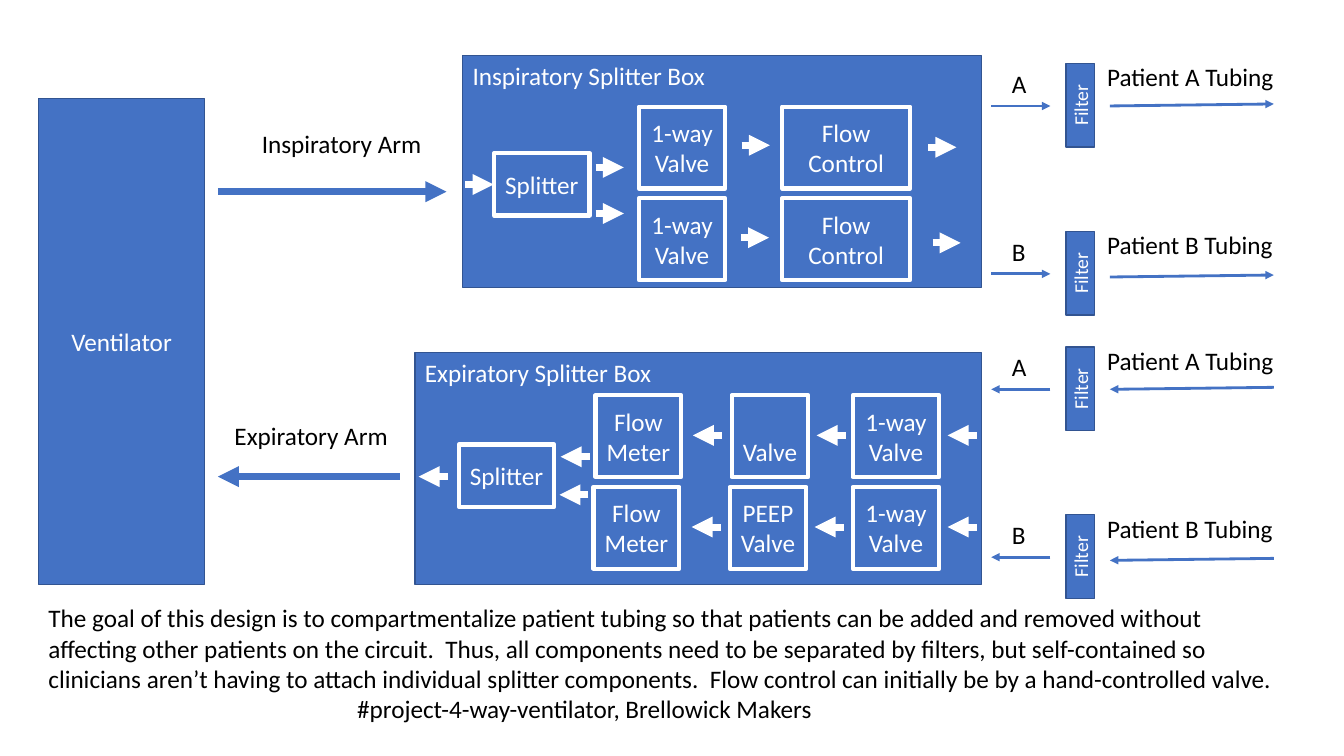
"""Draw a ventilator splitter diagram with inspiratory and expiratory circuits."""
from lxml import etree
from pptx import Presentation
from pptx.dml.color import RGBColor
from pptx.enum import shapes, text
from pptx.oxml.ns import qn
from pptx.util import Cm, Pt

BLUE = RGBColor(0x44, 0x72, 0xC4)
EDGE = RGBColor(0x32, 0x54, 0x91)
WHITE = RGBColor(0xFF, 0xFF, 0xFF)
BLACK = RGBColor(0, 0, 0)
FONT = "Calibri"

GOAL = (
    "The goal of this design is to compartmentalize patient tubing so that patients "
    "can be added and removed without affecting other patients on the circuit.  Thus, "
    "all components need to be separated by filters, but self-contained so clinicians "
    "aren’t having to attach individual splitter components.  Flow control can "
    "initially be by a hand-controlled valve."
)
CREDIT = "#project-4-way-ventilator, Brellowick Makers"
CREDIT_INDENT = 7.78

ARMS = [
    ("Inspiratory Arm", (6.35, 3.1, 4.57), (5.49, 11.25, 4.83)),
    ("Expiratory Arm", (5.66, 10.46, 4.42), (10.08, 5.49, 12.01)),
]
HOUSINGS = [
    ("Inspiratory Splitter Box", (11.66, 1.4, 13.08, 5.84)),
    ("Expiratory Splitter Box", (10.46, 8.89, 14.27, 5.84)),
]
ONE_WAY = "1-way\nValve"
# Each stage: label per row, left per row, width
CIRCUITS = [
    {
        "top": 2.69, "filter_top": 1.6, "step": 0.71, "splitter": (12.45, 3.86),
        "stages": [
            ((ONE_WAY, ONE_WAY), (16.1, 16.1), 2.18),
            (("Flow Control", "Flow Control"), (19.71, 19.71), 3.23),
        ],
        "flows": [
            (11.73, 4.65), (15.01, 4.22), (15.01, 5.38), (18.69, 3.66),
            (18.67, 5.99), (23.39, 3.71), (23.5, 6.12),
        ],
    },
    {
        "top": 9.96, "filter_top": 8.74, "step": -0.73, "splitter": (11.56, 11.2),
        "stages": [
            ((ONE_WAY, ONE_WAY), (21.49, 21.49), 2.18),
            ((" Valve", "PEEP Valve"), (18.44, 18.39), 1.93),
            (("Flow Meter", "Flow Meter"), (15.01, 14.96), 2.16),
        ],
        "flows": [
            (24.61, 10.97), (24.61, 13.28), (21.31, 10.97), (21.26, 13.28),
            (18.19, 10.97), (18.16, 13.28), (14.86, 11.51), (14.83, 12.47),
            (11.28, 12.01),
        ],
    },
]
STAGE_PITCH, STAGE_HEIGHT = 2.31, 2.06
PATIENT_PITCH = 4.23
LABEL_HEIGHT = 1.02

prs = Presentation()
prs.slide_width, prs.slide_height = Cm(33.87), Cm(19.05)
s = prs.slides.add_slide(prs.slide_layouts[6])


def write(tf, content, color, size=18, align=text.PP_ALIGN.LEFT):
    """Write one paragraph for each line of content."""
    for i, line in enumerate(content.split("\n")):
        p = tf.paragraphs[0] if i == 0 else tf.add_paragraph()
        p.alignment = align
        r = p.add_run()
        r.text = line
        r.font.name, r.font.size, r.font.color.rgb = FONT, Pt(size), color


def label(content, x, y, w, h=LABEL_HEIGHT, wrap=False):
    """Add black text without a frame."""
    tf = s.shapes.add_textbox(Cm(x), Cm(y), Cm(w), Cm(h)).text_frame
    tf.word_wrap = wrap
    write(tf, content, BLACK)
    return tf


def box(content, x, y, w, h, edge=EDGE, weight=1, size=18, title=False):
    """Add a blue box with white text, centred unless it is a title."""
    sp = s.shapes.add_shape(shapes.MSO_SHAPE.RECTANGLE, Cm(x), Cm(y), Cm(w), Cm(h))
    sp.shadow.inherit = False
    sp.fill.solid()
    sp.fill.fore_color.rgb = BLUE
    sp.line.color.rgb, sp.line.width = edge, Pt(weight)
    tf = sp.text_frame
    tf.word_wrap = True
    tf.vertical_anchor = text.MSO_ANCHOR.TOP if title else text.MSO_ANCHOR.MIDDLE
    write(tf, content, WHITE, size, text.PP_ALIGN.LEFT if title else text.PP_ALIGN.CENTER)
    return tf


def arrow(x1, y1, x2, y2, color=BLUE, weight=5):
    """Add a line with an arrowhead at its end."""
    c = s.shapes.add_connector(shapes.MSO_CONNECTOR.STRAIGHT, Cm(x1), Cm(y1), Cm(x2), Cm(y2))
    c.line.color.rgb, c.line.width = color, Pt(weight)
    etree.SubElement(c.line._get_or_add_ln(), qn("a:tailEnd"), type="triangle")
    etree.SubElement(c._element.spPr, qn("a:effectLst"))


for name, (x, y, w), (start, end, level) in ARMS:
    arrow(start, level, end, level)
    label(name, x, y, w)

box("Ventilator", 0.97, 2.49, 4.19, 12.24)
for name, place in HOUSINGS:
    box(name, *place, title=True)

for circuit in CIRCUITS:
    outward = circuit["step"] > 0
    for row, patient in enumerate("AB"):
        top = circuit["filter_top"] + row * PATIENT_PITCH
        level = top + 1.07
        tube = level + row * 0.08
        for line in [(24.98, level, 26.47, level), (27.97, tube, 32.1, tube - 0.05)]:
            arrow(*(line if outward else line[2:] + line[:2]), weight=2)
        label(patient, 25.25, top, 0.86)
        tf = box("Filter", 26.87, top, 0.71, 2.11, size=14)
        tf._txBody.bodyPr.set("vert", "vert270")
        label(f"Patient {patient} Tubing", 27.65, top - 0.17, 4.75)

    box("Splitter", *circuit["splitter"], 2.41, 1.57, WHITE, 3)
    for names, lefts, width in circuit["stages"]:
        for row, (name, left) in enumerate(zip(names, lefts)):
            y = circuit["top"] + row * STAGE_PITCH
            box(name, left, y, width, STAGE_HEIGHT, WHITE, 3)
    for x, y in circuit["flows"]:
        arrow(x, y, x + circuit["step"], y, WHITE)

tf = label(f"{GOAL}\n{CREDIT}", 0.97, 15.06, 31.42, 3.33, wrap=True)
tf.paragraphs[1]._p.get_or_add_pPr().set("marL", str(Cm(CREDIT_INDENT)))

prs.save("out.pptx")
